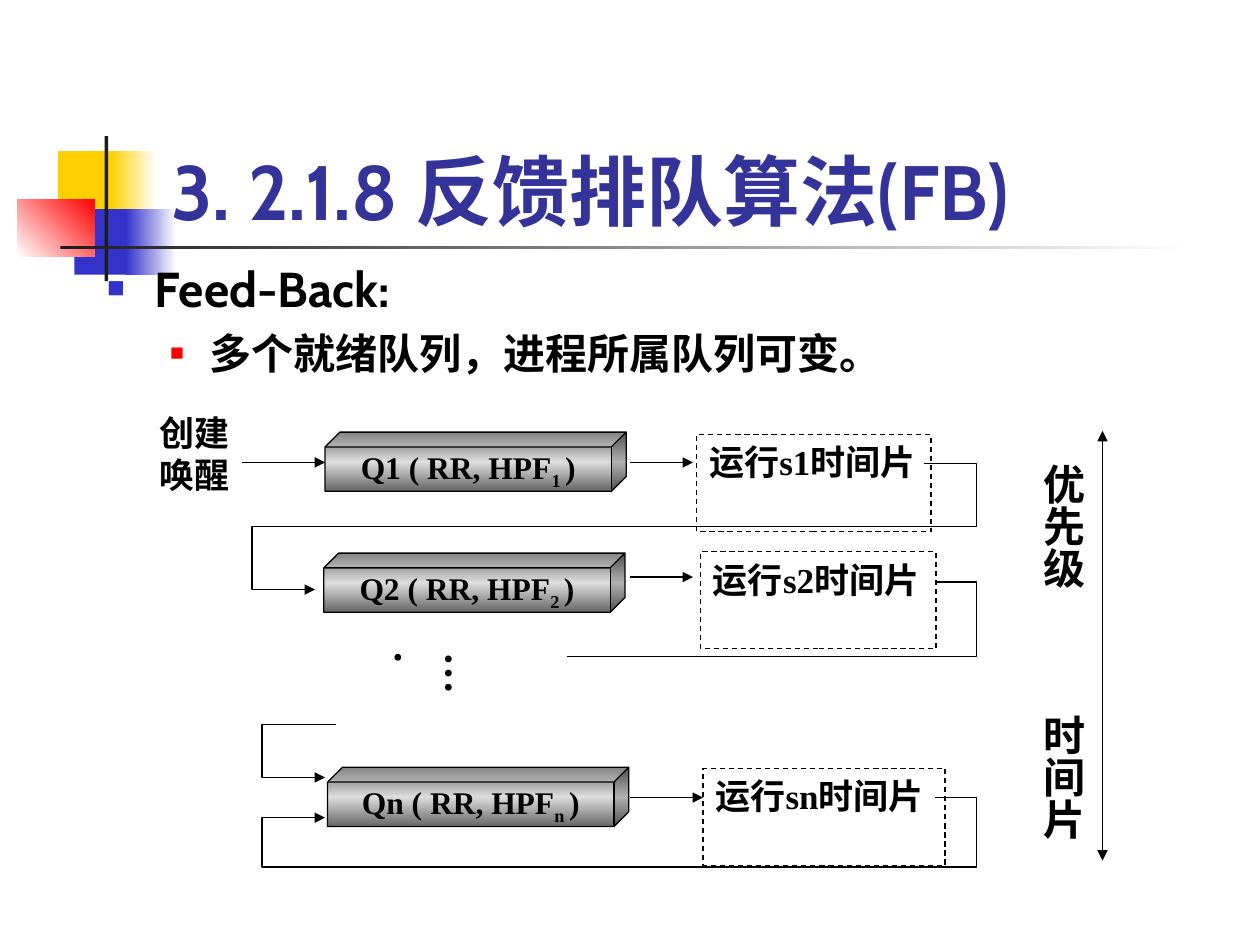
from copy import deepcopy

from lxml.etree import SubElement
from pptx import Presentation
from pptx.dml.color import RGBColor
from pptx.enum.dml import MSO_LINE
from pptx.enum.shapes import MSO_CONNECTOR, MSO_SHAPE
from pptx.enum.text import MSO_ANCHOR, MSO_AUTO_SIZE, PP_ALIGN
from pptx.oxml.ns import qn
from pptx.util import Pt

PX = 9144
BLACK = RGBColor(0x00, 0x00, 0x00)
WHITE = RGBColor(0xFF, 0xFF, 0xFF)
GOLD = RGBColor(0xFF, 0xCF, 0x01)
BLUE = RGBColor(0x33, 0x33, 0xCC)
NAVY = RGBColor(0x33, 0x33, 0x99)
RED = RGBColor(0xFF, 0x00, 0x00)
DARK = RGBColor(0x1C, 0x1C, 0x1C)
GRAY = RGBColor(0x66, 0x66, 0x66)
PALE = RGBColor(0xDD, 0xDD, 0xDD)
SERIF = "Times New Roman"
SANS = "Cabin"


def paint(part, tones, turn=0):
    part.shadow.inherit = False
    if not tones:
        part.fill.background()
    elif len(tones) == 1:
        part.fill.solid()
        part.fill.fore_color.rgb = tones[0]
    else:
        part.fill.gradient()
        part.fill.gradient_angle = turn
        stops = part.element.spPr.find(qn("a:gradFill")).find(qn("a:gsLst"))
        for _ in tones[2:]:
            stops.append(deepcopy(stops[0]))
        for i, (stop, tone) in enumerate(zip(part.fill.gradient_stops, tones)):
            stop.color.rgb = tone
            stop.position = i / (len(tones) - 1)


def write(para, text, size, name=SERIF, color=BLACK):
    run = para.add_run()
    run.text = text
    for key, value in {"size": Pt(size), "name": name, "bold": True}.items():
        setattr(run.font, key, value)
    run.font.color.rgb = color
    return run


deck = Presentation()
deck.slide_width, deck.slide_height = 1000 * PX, 750 * PX
slide = deck.slides.add_slide(deck.slide_layouts[1])
shapes = slide.shapes

marks = [
    (46, 120, 48, 52, [GOLD], 0),
    (88, 120, 36, 52, [GOLD, WHITE], 0),
    (59, 166, 46, 52, [BLUE], 0),
    (100, 166, 40, 52, [BLUE, WHITE], 0),
    (14, 158, 61, 46, [WHITE, RED], 45),
    (83, 108, 3, 115, [DARK], 0),
    (48, 195, 900, 3, [DARK, WHITE], 0),
]
tree = shapes.title.element.getparent()
for spot, (x, y, w, h, tones, turn) in enumerate(marks, 2):
    mark = shapes.add_shape(MSO_SHAPE.RECTANGLE, x * PX, y * PX, w * PX, h * PX)
    paint(mark, tones, turn)
    mark.line.fill.background()
    tree.insert(spot, mark.element)

title, body = shapes.title, slide.placeholders[1]
for part, x, y, w, h, anchor in [
    (title, 126, 67, 852, 125, MSO_ANCHOR.BOTTOM),
    (body, 75, 200, 850, 467, MSO_ANCHOR.TOP),
]:
    place = {"left": x, "top": y, "width": w, "height": h}
    for key, value in place.items():
        setattr(part, key, value * PX)
    part.text_frame.auto_size = MSO_AUTO_SIZE.NONE
    part.text_frame.vertical_anchor = anchor

head = title.text_frame.paragraphs[0]
head.alignment = PP_ALIGN.LEFT
write(head, "3. 2.1.8 反馈排队算法(FB)", 44, SANS, NAVY)

points = [
    ("Feed-Back:", 28, 7, 38, -38, BLUE, 60),
    ("多个就绪队列，进程所属队列可变。", 24, 6, 81, -31, RED, 55),
]
for level, (text, size, gap, left, hang, tone, scale) in enumerate(points):
    para = body.text_frame.add_paragraph() if level else body.text_frame.paragraphs[0]
    para.level = level
    para.space_before = Pt(gap)
    write(para, text, size, SANS)
    props = para._p.get_or_add_pPr()
    props.set("marL", str(left * PX))
    props.set("indent", str(hang * PX))
    SubElement(SubElement(props, qn("a:buClr")), qn("a:srgbClr"), val=str(tone))
    SubElement(props, qn("a:buSzPct"), val=str(scale * 1000))
    SubElement(props, qn("a:buFont"), typeface="Arial")
    SubElement(props, qn("a:buChar"), char="■")

wires = []
notes = []
rows = [
    ("1", 258, 343, 553, 345, 186, 367, 550),
    ("2", 257, 439, 556, 438, 187, 458, 550),
    ("n", 260, 609, 558, 610, 192, 633, 558),
]
arrows = [(192, 367, 258, 367, ["tail"]), (875, 342, 875, 683, ["head", "tail"])]
for num, left, top, x, y, w, mid, end in rows:
    cube = shapes.add_shape(MSO_SHAPE.CUBE, left * PX, top * PX, 239 * PX, 47 * PX)
    cube.adjustments[0] = 0.25
    paint(cube, [GRAY, PALE, GRAY], 270)
    wires.append((cube, []))
    cube.text_frame.word_wrap = False
    cube.text_frame.vertical_anchor = MSO_ANCHOR.MIDDLE
    para = cube.text_frame.paragraphs[0]
    para.alignment = PP_ALIGN.CENTER
    write(para, f"Q{num} ( RR, HPF", 18)
    write(para, f"{num} ", 18).font._element.set("baseline", "-25000")
    write(para, ")", 18)

    box = shapes.add_shape(MSO_SHAPE.RECTANGLE, x * PX, y * PX, w * PX, 77 * PX)
    paint(box, [])
    box.line.dash_style = MSO_LINE.DASH
    wires.append((box, []))
    notes.append((box, f"运行s{num}时间片", 20, 12.5, False))
    arrows.append((500, mid, end, mid, ["tail"]))

for x, y, right, low, ends in arrows:
    arrow = shapes.add_connector(
        MSO_CONNECTOR.STRAIGHT, x * PX, y * PX, right * PX, low * PX
    )
    wires.append((arrow, ends))

loops = [
    ([(733, 368), (775, 368), (775, 418), (200, 418), (200, 468), (250, 468)], ["tail"]),
    ([(267, 575), (208, 575), (208, 617), (258, 617)], ["tail"]),
    ([(742, 462), (775, 462), (775, 521), (450, 521)], []),
    ([(742, 633), (775, 633), (775, 688), (208, 688), (208, 649), (258, 649)], ["tail"]),
]
for dots, ends in loops:
    pen = shapes.build_freeform(*dots[0], scale=PX)
    pen.add_line_segments(dots[1:], close=False)
    loop = pen.convert_to_shape()
    paint(loop, [])
    wires.append((loop, ends))

for part, ends in wires:
    part.line.color.rgb = BLACK
    part.line.width = Pt(0.75)
    frame = part.element.spPr
    for end in ends:
        SubElement(frame.find(qn("a:ln")), qn(f"a:{end}End"), type="triangle")
    if frame.find(qn("a:effectLst")) is None:
        SubElement(frame, qn("a:effectLst"))

labels = [
    (117, 322, 83, 77, "创建唤醒", 20, 12.5, False),
    (332, 508, 60, 58, "….", 24, 15, True),
    (809, 358, 60, 325, "优先级\t时间片", 24, 15, True),
]
for x, y, w, h, *note in labels:
    label = shapes.add_textbox(x * PX, y * PX, w * PX, h * PX)
    notes.append((label, *note))

for part, text, size, gap, tall in notes:
    frame = part.text_frame
    side, edge = (5, 10) if tall else (10, 5)
    looks = {
        "word_wrap": True,
        "auto_size": MSO_AUTO_SIZE.SHAPE_TO_FIT_TEXT,
        "vertical_anchor": MSO_ANCHOR.TOP,
        "margin_left": side * PX,
        "margin_right": side * PX,
        "margin_top": edge * PX,
        "margin_bottom": edge * PX,
    }
    for key, value in looks.items():
        setattr(frame, key, value)
    para = frame.paragraphs[0]
    para.alignment = PP_ALIGN.LEFT
    para.space_before = Pt(gap)
    write(para, text, size)
    if tall:
        frame._txBody.bodyPr.set("vert", "eaVert")
    if "\t" in text:
        tabs = SubElement(para._p.get_or_add_pPr(), qn("a:tabLst"))
        SubElement(tabs, qn("a:tab"), pos=str(199 * PX), algn="l")

deck.save("out.pptx")
